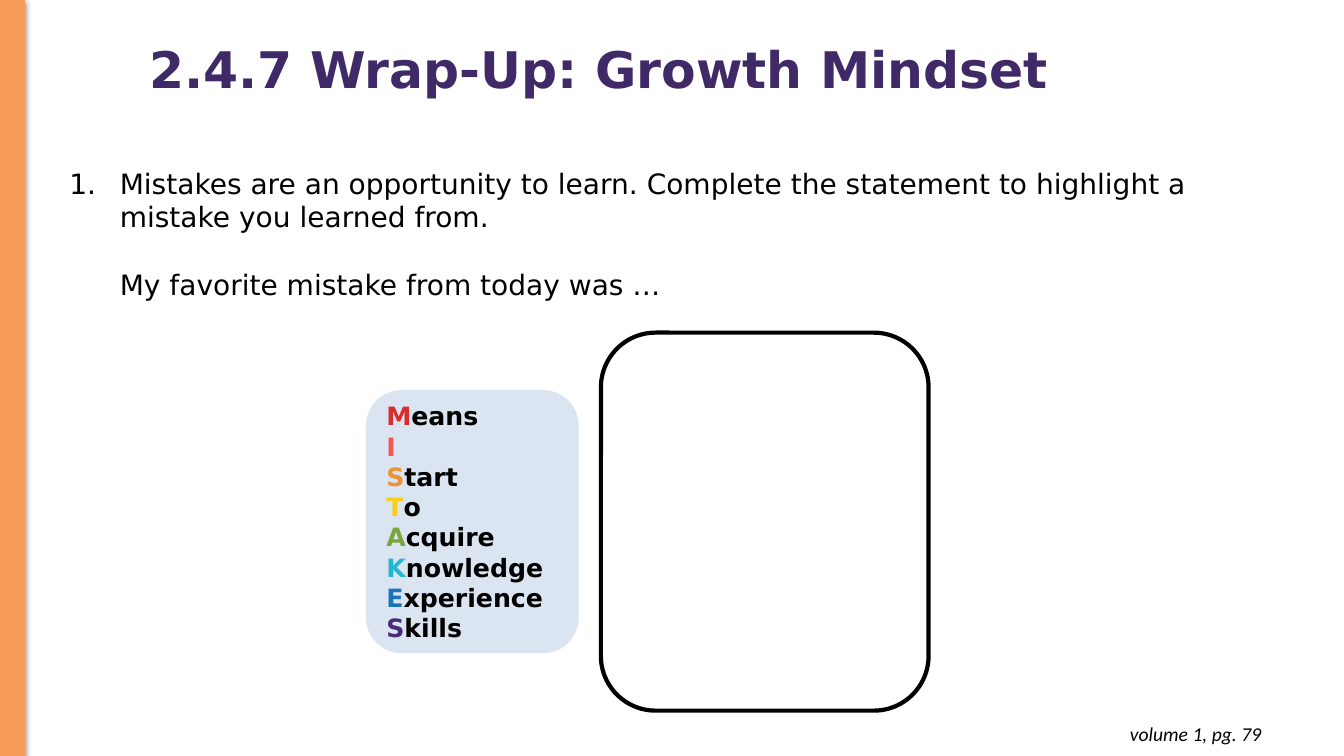
from dataclasses import dataclass

from lxml.etree import SubElement
from pptx import Presentation
from pptx.dml.color import RGBColor
from pptx.enum.shapes import MSO_SHAPE as Shape
from pptx.enum.text import MSO_ANCHOR as Anchor, MSO_AUTO_SIZE as AutoSize, PP_ALIGN as Align
from pptx.oxml.ns import qn
from pptx.util import Pt

TITLE = "2.4.7 Wrap-Up: Growth Mindset"
QUESTION = ("Mistakes are an opportunity to learn. Complete the statement "
            "to highlight a mistake you learned from.")
STARTER = "My favorite mistake from today was …"
PAGE_NOTE = "volume 1, pg. 79"
ACROSTIC = [  # initial, rest of the word, colour of the initial
    ("M", "eans", "DB2B2A"),
    ("I", "", "F25756"),
    ("S", "tart", "E99237"),
    ("T", "o", "FACD17"),
    ("A", "cquire", "7BA43F"),
    ("K", "nowledge", "24B7D2"),
    ("E", "xperience", "1B74B9"),
    ("S", "kills", "4A2B79"),
]


@dataclass(frozen=True)
class Theme:
    ink: str = "000000"
    title: str = "3F2A67"
    bar: str = "F79B59"
    card: str = "DAE5F1"
    font: str = "DejaVu Sans"
    note_font: str = "Calibri"
    title_size: int = 36
    body_size: int = 20
    card_size: int = 18
    note_size: int = 14


THEME = Theme()
PX = 9144  # EMU in one px, 100 px to the inch
SLIDE = (1333, 750)
BAR = (0, 0, 24, 751)
TITLE_BOX = (138, 36, 1019, 72)
QUESTION_BOX = (59, 160, 1150, 145)
ANSWER_FRAME = (596, 330, 325, 375)
CARD = (363, 387, 211, 261)
NOTE_BOX = (973, 706, 288, 44)
INDENT = 50
ROUNDING = 0.167


def emu(lengths):
    return [length * PX for length in lengths]


def add_span(para, text, size, color=THEME.ink, font=THEME.font, bold=False, italic=False):
    span = para.add_run()
    span.text = text
    span.font.size = Pt(size)
    span.font.name = font
    span.font.bold = bold
    span.font.italic = italic
    span.font.color.rgb = RGBColor.from_string(color)


def add_box(page, place, inset_y=5):
    frame = page.shapes.add_textbox(*emu(place)).text_frame
    frame.word_wrap = True
    frame.margin_top = frame.margin_bottom = inset_y * PX
    return frame


def add_block(page, kind, place, fill=None, line=None, weight=1.0):
    block = page.shapes.add_shape(kind, *emu(place))
    block.shadow.inherit = False
    if kind == Shape.ROUNDED_RECTANGLE:
        block.adjustments[0] = ROUNDING
    if fill:
        block.fill.solid()
        block.fill.fore_color.rgb = RGBColor.from_string(fill)
    else:
        block.fill.background()
    if line:
        block.line.color.rgb = RGBColor.from_string(line)
        block.line.width = Pt(weight)
    else:
        block.line.fill.background()
    return block


def add_drop_shadow(block):
    effects = block.element.spPr.find(qn("a:effectLst"))
    shadow = SubElement(effects, qn("a:outerShdw"), blurRad=str(Pt(4.5)),
                        dist=str(Pt(1.5)), dir="5400000", rotWithShape="0")
    color = SubElement(shadow, qn("a:srgbClr"), val=THEME.ink)
    SubElement(color, qn("a:alpha"), val="50000")


def indent(para, first, numbered=False):
    props = para._p.get_or_add_pPr()
    props.set("marL", str(INDENT * PX))
    props.set("indent", str(first * PX))
    if numbered:
        color = SubElement(props, qn("a:buClr"))
        SubElement(color, qn("a:srgbClr"), val=THEME.ink)
        SubElement(props, qn("a:buFont"), typeface=THEME.font)
        SubElement(props, qn("a:buAutoNum"), type="arabicPeriod")


def fill_title(title):
    title.left, title.top, title.width, title.height = emu(TITLE_BOX)
    frame = title.text_frame
    frame.auto_size = AutoSize.NONE
    frame.vertical_anchor = Anchor.MIDDLE
    para = frame.paragraphs[0]
    para.alignment = Align.LEFT
    para.line_spacing = 0.9
    add_span(para, TITLE, THEME.title_size, THEME.title, bold=True)


def add_question(page):
    frame = add_box(page, QUESTION_BOX)
    para = frame.paragraphs[0]
    indent(para, -INDENT, numbered=True)
    add_span(para, QUESTION, THEME.body_size)
    para = frame.add_paragraph()
    indent(para, 0)
    para.space_before = Pt(24)
    add_span(para, STARTER, THEME.body_size)


def add_acrostic(page):
    frame = add_block(page, Shape.ROUNDED_RECTANGLE, CARD, fill=THEME.card).text_frame
    frame.word_wrap = True
    frame.vertical_anchor = Anchor.MIDDLE
    for row, (initial, rest, color) in enumerate(ACROSTIC):
        para = frame.add_paragraph() if row else frame.paragraphs[0]
        para.alignment = Align.LEFT
        add_span(para, initial, THEME.card_size, color, bold=True)
        if rest:
            add_span(para, rest, THEME.card_size, bold=True)


def add_page_note(page):
    para = add_box(page, NOTE_BOX, inset_y=10).paragraphs[0]
    para.alignment = Align.RIGHT
    add_span(para, PAGE_NOTE, THEME.note_size, font=THEME.note_font, italic=True)


def main():
    deck = Presentation()
    deck.slide_width, deck.slide_height = emu(SLIDE)
    page = deck.slides.add_slide(deck.slide_layouts[5])
    fill_title(page.shapes.title)
    add_drop_shadow(add_block(page, Shape.RECTANGLE, BAR, THEME.bar, THEME.bar, 0.75))
    add_page_note(page)
    add_question(page)
    add_block(page, Shape.ROUNDED_RECTANGLE, ANSWER_FRAME, line=THEME.ink, weight=3)
    add_acrostic(page)
    deck.save("out.pptx")


if __name__ == "__main__":
    main()
